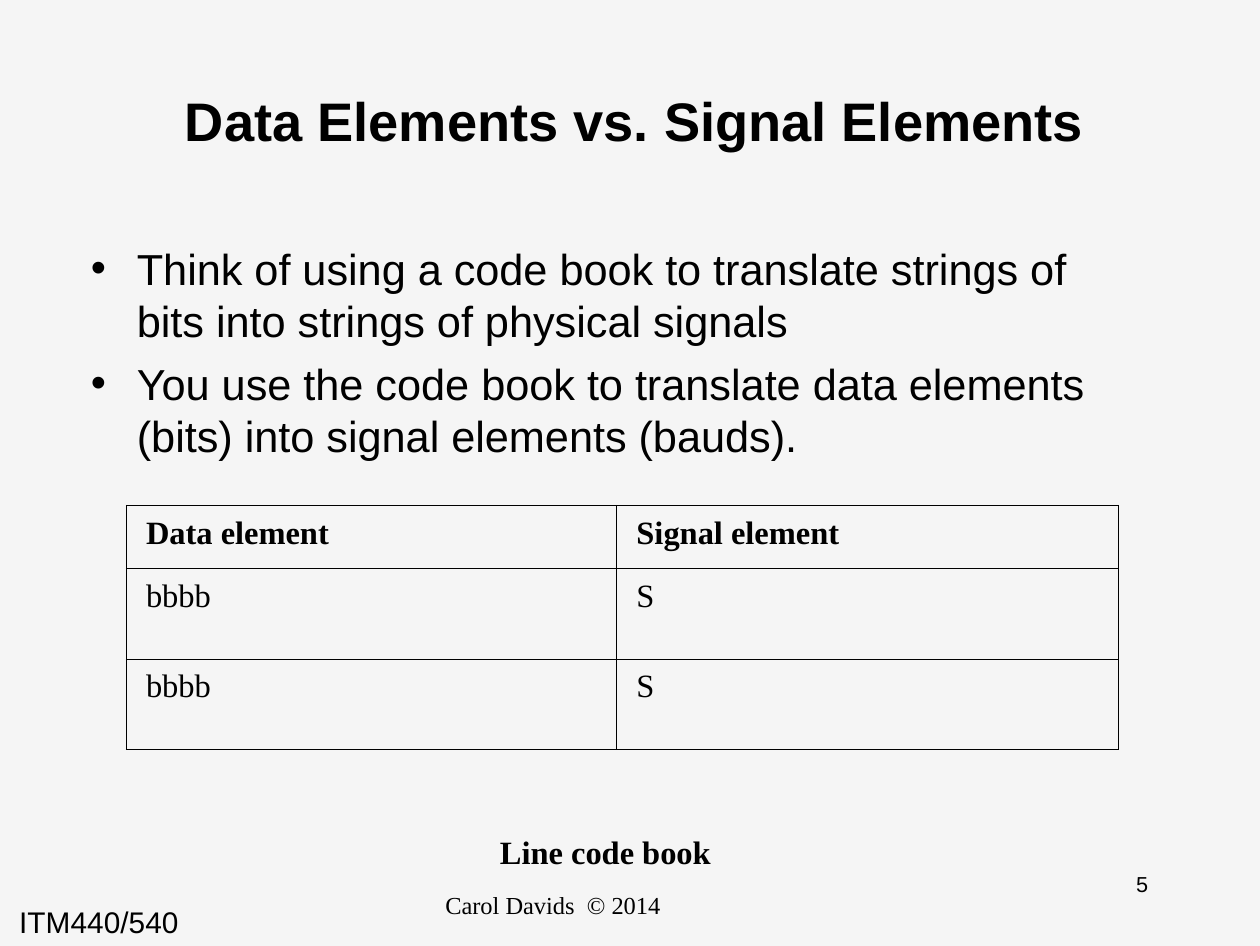
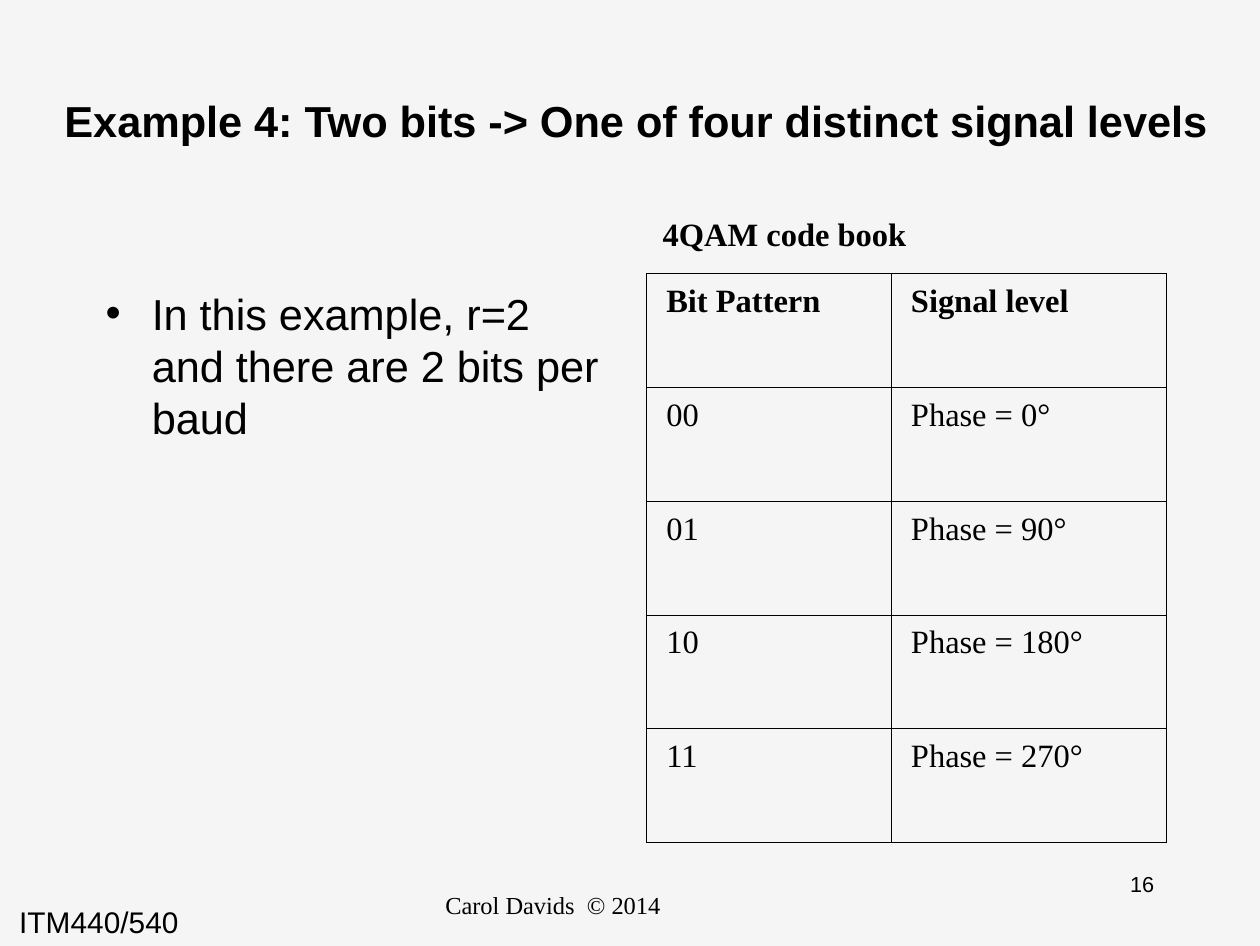
from collections import namedtuple
from dataclasses import dataclass

from lxml import etree
from pptx import Presentation
from pptx.dml.color import RGBColor
from pptx.enum.text import MSO_ANCHOR, MSO_AUTO_SIZE, PP_ALIGN
from pptx.oxml.ns import qn
from pptx.util import Pt

LEFT, CENTER = PP_ALIGN.LEFT, PP_ALIGN.CENTER
TOP, MIDDLE = MSO_ANCHOR.TOP, MSO_ANCHOR.MIDDLE
FIXED = MSO_AUTO_SIZE.NONE

Box = namedtuple("Box", "x y w h")
Face = namedtuple("Face", "font size bold")
Pad = namedtuple("Pad", "left top right bottom")


@dataclass(frozen=True)
class Theme:
    ink: str = "000000"
    paper: str = "F5F5F5"
    rule: float = 0.45
    indent: float = 17
    gap: float = 4
    title: Face = Face("Arial", 20, True)
    long: Face = Face("Arial", 16, True)
    body: Face = Face("Arial", 16, False)
    course: Face = Face("Arial", 11, False)
    page: Face = Face("Arial", 8, False)
    credit: Face = Face("Times New Roman", 9, False)
    head: Face = Face("Times New Roman", 12, True)
    cell: Face = Face("Times New Roman", 12, False)
    tight: Pad = Pad(4.5, 2.3, 4.5, 2.3)
    shift: Pad = Pad(8.9, 2.3, 4.5, 2.3)
    wide: Pad = Pad(7.2, 3.6, 7.2, 3.6)
    none: Pad = Pad(0, 0, 0, 0)


THEME = Theme()
PAGE = Box(0, 0, 465, 349)


def place(shape, box):
    shape.left, shape.top, shape.width, shape.height = map(Pt, box)


def frame(shape, pad, anchor=TOP, wrap=True):
    text = shape.text_frame
    text.word_wrap = wrap
    text.auto_size = FIXED
    text.vertical_anchor = anchor
    text.margin_left, text.margin_top, text.margin_right, text.margin_bottom = map(Pt, pad)
    return text


def write(para, words, face, align=LEFT):
    para.alignment = align
    run = para.add_run()
    run.text = words
    font = run.font
    font.name, font.size, font.bold = face.font, Pt(face.size), face.bold
    font.color.rgb = RGBColor.from_string(THEME.ink)


def label(slide, box, words, face, pad, align=LEFT, anchor=TOP, wrap=True):
    shape = slide.shapes.add_textbox(*map(Pt, box))
    text = frame(shape, pad, anchor, wrap)
    write(text.paragraphs[0], words, face, align)


def heading(slide, box, words, face):
    shape = slide.shapes.title
    place(shape, box)
    text = frame(shape, THEME.shift, MIDDLE)
    write(text.paragraphs[0], words, face, CENTER)


def bullet(para):
    props = para._p.get_or_add_pPr()
    props.set("marL", str(Pt(THEME.indent)))
    props.set("indent", str(-Pt(THEME.indent)))
    tint = etree.SubElement(props, qn("a:buClr"))
    etree.SubElement(tint, qn("a:srgbClr"), val=THEME.ink)
    etree.SubElement(props, qn("a:buFont"), typeface=THEME.body.font)
    etree.SubElement(props, qn("a:buChar"), char="•")


def points(slide, box, items):
    shape = slide.placeholders[1]
    place(shape, box)
    text = frame(shape, THEME.tight)
    for num, item in enumerate(items):
        para = text.add_paragraph() if num else text.paragraphs[0]
        bullet(para)
        para.space_before = Pt(THEME.gap if num else 0)
        write(para, item, THEME.body)


def border(cell):
    props = cell._tc.get_or_add_tcPr()
    for side in ("lnL", "lnR", "lnT", "lnB"):
        line = etree.SubElement(props, qn(f"a:{side}"), w=str(Pt(THEME.rule)))
        fill = etree.SubElement(line, qn("a:solidFill"))
        etree.SubElement(fill, qn("a:srgbClr"), val=THEME.ink)


def grid(slide, box, rows, widths, first):
    table = slide.shapes.add_table(len(rows), len(widths), *map(Pt, box)).table
    table.first_row = table.horz_banding = False
    rest = (box.h - first) / (len(rows) - 1)
    for col, width in zip(table.columns, widths):
        col.width = Pt(width)
    for num, words in enumerate(rows):
        table.rows[num].height = Pt(rest if num else first)
        for cell, word in zip(table.rows[num].cells, words):
            border(cell)
            cell.fill.background()
            pad = THEME.wide
            cell.margin_left, cell.margin_right = Pt(pad.left), Pt(pad.right)
            cell.margin_top, cell.margin_bottom = Pt(pad.top), Pt(pad.bottom)
            para = cell.text_frame.paragraphs[0]
            write(para, word, THEME.cell if num else THEME.head)


def footer(slide, box, number):
    base = box.y + box.h
    label(slide, Box(box.x, base - 19, 151, 19), "ITM440/540", THEME.course, THEME.wide)
    label(slide, Box(box.x + 385, base - 30, 73, 23), number, THEME.page,
          THEME.tight, CENTER)
    label(slide, Box(box.x + 122.5, base - 23, 163, 23), "Carol Davids  © 2014",
          THEME.credit, THEME.tight, CENTER)


def start(deck, number):
    slide = deck.slides.add_slide(deck.slide_layouts[1])
    footer(slide, PAGE, number)
    return slide


def elements(deck, box):
    slide = start(deck, "5")
    heading(slide, Box(box.x + 34.5, box.y + 15, 395, 58.5),
            "Data Elements vs. Signal Elements", THEME.title)
    points(slide, Box(box.x + 29, box.y + 87, 390, 91), [
        "Think of using a code book to translate strings of bits into strings of physical signals",
        "You use the code book to translate data elements (bits) into signal elements (bauds).",
    ])
    rows = [("Data element", "Signal element"), ("bbbb", "S"), ("bbbb", "S")]
    grid(slide, Box(box.x + 46.7, box.y + 186.5, 366, 90), rows, (181, 185), 23.4)
    label(slide, Box(box.x + 184.5, box.y + 307, 84, 14.4), "Line code book",
          THEME.head, THEME.none, anchor=MIDDLE)


def example(deck, box):
    slide = start(deck, "16")
    heading(slide, Box(box.x + 10.5, box.y + 15, 444.5, 58.5),
            "Example 4: Two bits -> One of four distinct signal levels", THEME.long)
    points(slide, Box(box.x + 34.5, box.y + 103.5, 191.5, 207),
           ["In this example, r=2 and there are 2 bits per baud"])
    turns = zip(("00", "01", "10", "11"), range(0, 360, 90))
    rows = [("Bit Pattern", "Signal level")]
    rows += [(bits, f"Phase = {turn}°") for bits, turn in turns]
    grid(slide, Box(box.x + 238.7, box.y + 101, 191.7, 210), rows, (90.3, 101.4), 42)
    label(slide, Box(box.x + 237.5, box.y + 75.5, 104.5, 21.5), "4QAM code book",
          THEME.head, THEME.wide, wrap=False)


def main():
    deck = Presentation()
    deck.slide_width, deck.slide_height = Pt(PAGE.w), Pt(PAGE.h)
    fill = deck.slide_master.background.fill
    fill.solid()
    fill.fore_color.rgb = RGBColor.from_string(THEME.paper)
    elements(deck, PAGE)
    example(deck, PAGE)
    deck.save("out.pptx")


if __name__ == "__main__":
    main()
